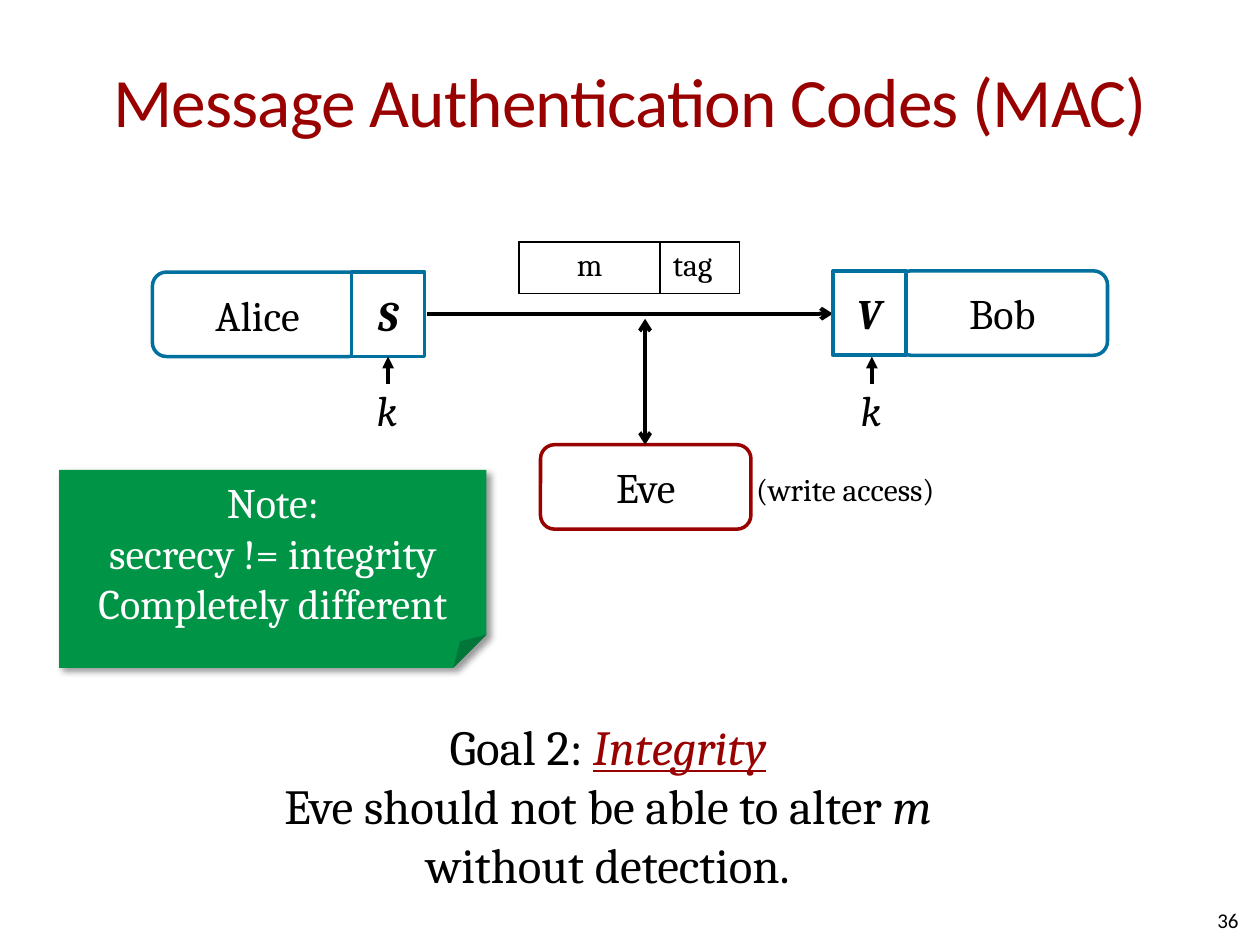
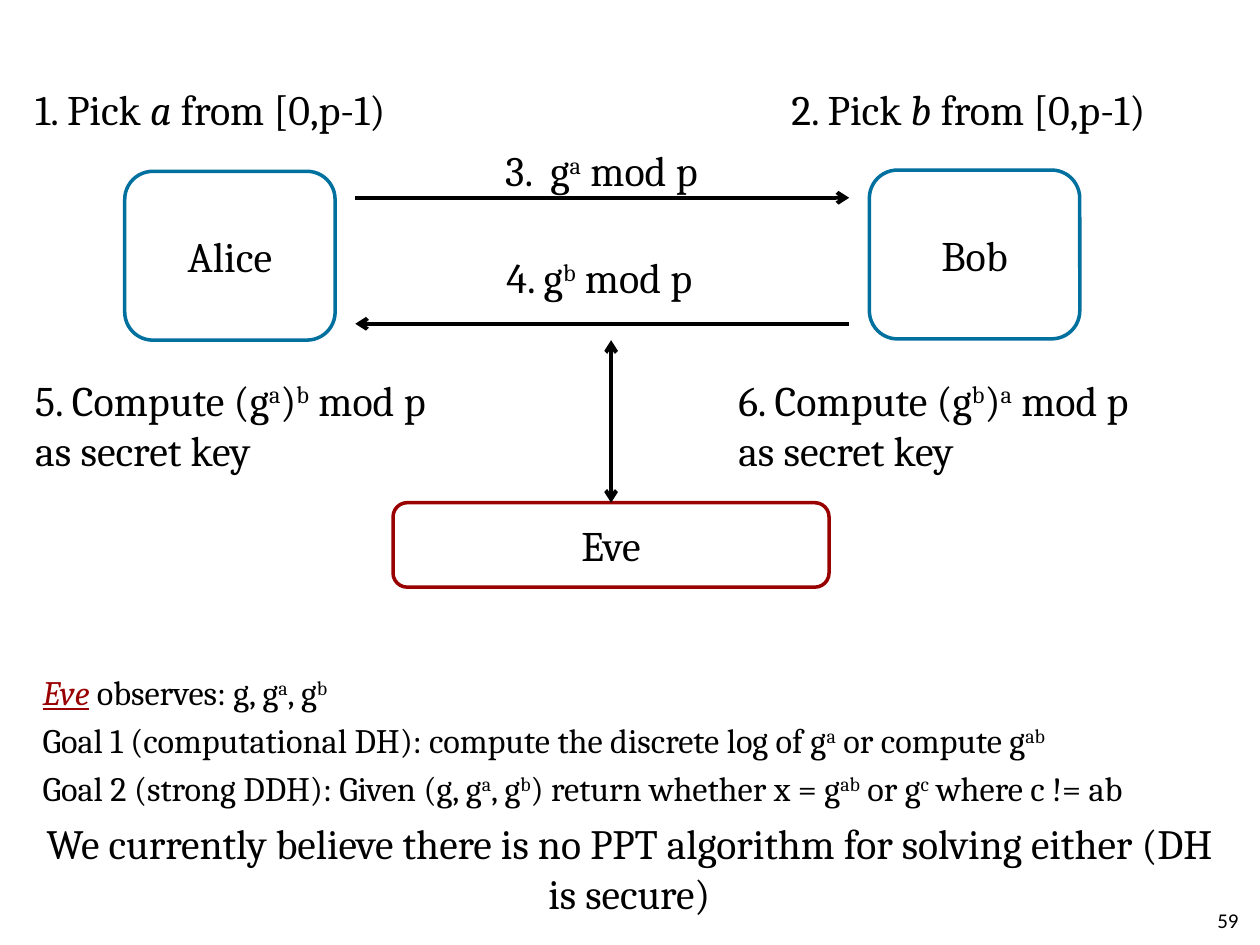
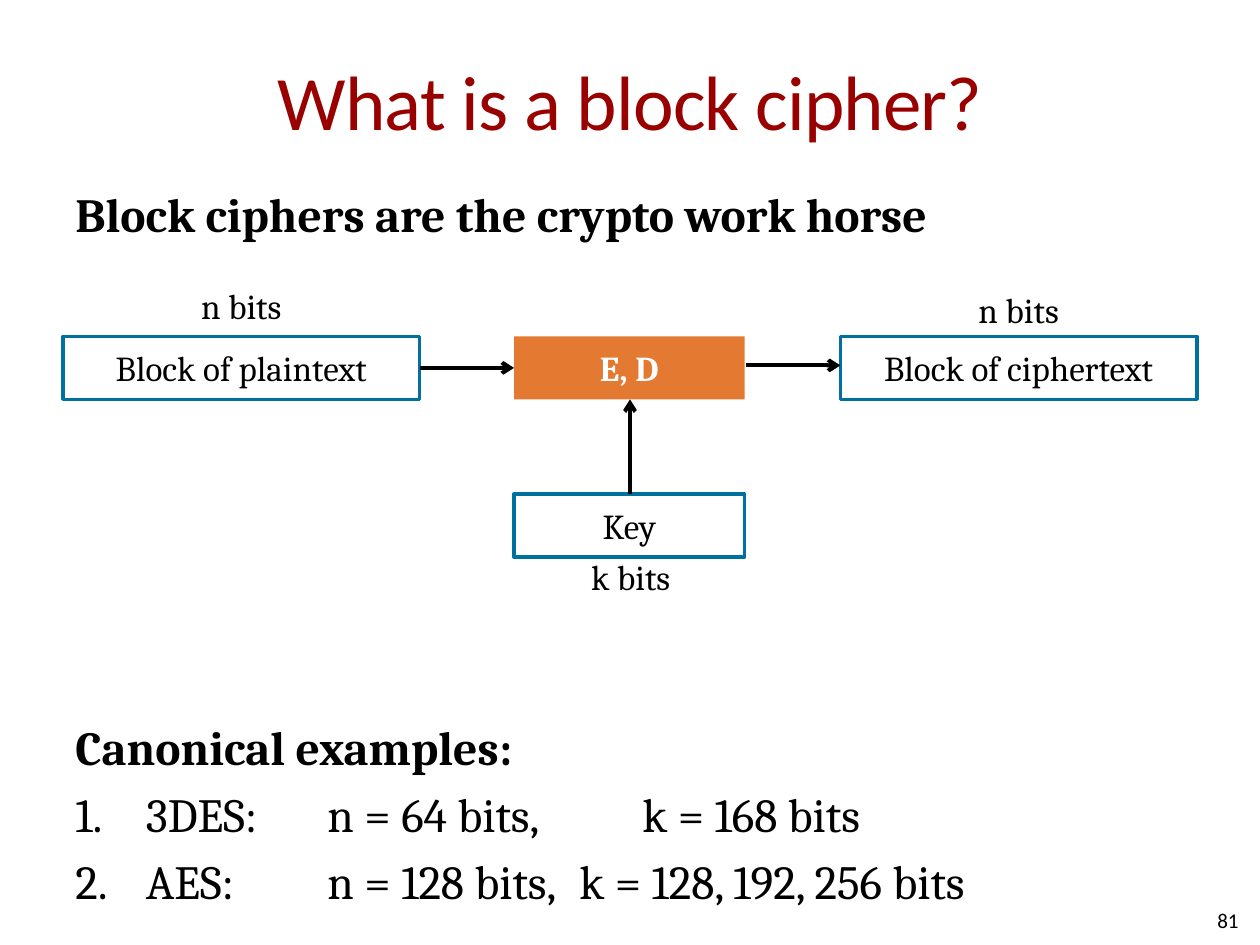
from lxml import etree
from pptx import Presentation
from pptx.dml.color import RGBColor
from pptx.enum.shapes import MSO_CONNECTOR, MSO_SHAPE
from pptx.enum.text import MSO_ANCHOR, PP_ALIGN
from pptx.oxml.ns import qn
from pptx.util import Inches, Pt

LEFT, MID, RIGHT = PP_ALIGN.LEFT, PP_ALIGN.CENTER, PP_ALIGN.RIGHT
TOP, CENTER = MSO_ANCHOR.TOP, MSO_ANCHOR.MIDDLE
RECT, ROUND, NOTE = MSO_SHAPE.RECTANGLE, MSO_SHAPE.ROUNDED_RECTANGLE, MSO_SHAPE.FOLDED_CORNER
STRAIGHT = MSO_CONNECTOR.STRAIGHT
BLACK, WHITE, RED, BLUE = "000000", "FFFFFF", "990000", "00709E"
GREEN, ORANGE = "009446", "E47932"
HEAD, BODY = "Calibri", "Cambria"
TITLE_ONLY, BLANK = 5, 6


def paint(code):
    return RGBColor.from_string(code)


def node(parent, tag, **attrs):
    return etree.SubElement(parent, qn(tag), attrs)


def place(at):
    return [Inches(n) for n in at]


def mix(words, mark):
    return [(part, mark if n % 2 else "") for n, part in enumerate(words.split("|"))]


def write(frame, paras, size=24, color=BLACK, font=BODY, align=LEFT, anchor=TOP,
          wrap=True, inset=(0, 0), bold=False, gap=0, track=0, count=False):
    frame.word_wrap = wrap
    frame.vertical_anchor = anchor
    frame.margin_left = frame.margin_right = Inches(inset[0])
    frame.margin_top = frame.margin_bottom = Inches(inset[1])
    for n, runs in enumerate([paras] if isinstance(paras, str) else paras):
        para = frame.paragraphs[0] if n == 0 else frame.add_paragraph()
        if count:
            props = para._p.get_or_add_pPr()
            for key, value in (("marL", 0.56), ("indent", -0.56), ("defTabSz", 0.5)):
                props.set(key, str(Inches(value)))
            node(props, "a:buFont", typeface=font)
            node(props, "a:buAutoNum", type="arabicPeriod")
        para.alignment = align
        if gap and n:
            para.space_before = Pt(gap)
        for words, mark in [(runs, "")] if isinstance(runs, str) else runs:
            run = para.add_run()
            run.text = words
            run.font.name = font
            run.font.size = Pt(size)
            run.font.bold = bold or "b" in mark
            run.font.italic = "i" in mark
            run.font.underline = "u" in mark
            run.font.color.rgb = paint(RED if "r" in mark else color)
            if "^" in mark:
                run._r.get_or_add_rPr().set("baseline", "30000")
            if track:
                run._r.get_or_add_rPr().set("spc", str(track))


def label(slide, paras, at, **style):
    write(slide.shapes.add_textbox(*place(at)).text_frame, paras, **style)


def box(slide, paras, at, kind=ROUND, fill=WHITE, edge=BLUE, **style):
    shape = slide.shapes.add_shape(kind, *place(at))
    shape.shadow.inherit = False
    shape.fill.solid()
    shape.fill.fore_color.rgb = paint(fill)
    if edge:
        shape.line.color.rgb = paint(edge)
        shape.line.width = Pt(2)
    else:
        shape.line.fill.background()
    write(shape.text_frame, paras, align=MID, anchor=CENTER, **style)
    return shape


def shade(shape):
    effects = shape.element.spPr.find(qn("a:effectLst"))
    cast = node(effects, "a:outerShdw", blurRad=str(Pt(4)), dist=str(Pt(3)),
                dir="2700000", algn="tl", rotWithShape="0")
    node(node(cast, "a:srgbClr", val=BLACK), "a:alpha", val="40000")


def arrow(slide, start, end, tip="arrow", both=False):
    line = slide.shapes.add_connector(STRAIGHT, *place(start + end))
    line.line.color.rgb = paint(BLACK)
    line.line.width = Pt(2.25)
    edge = line.get_or_add_ln()
    if both:
        node(edge, "a:headEnd", type=tip)
    node(edge, "a:tailEnd", type=tip)
    node(line.element.spPr, "a:effectLst")


def grid(slide, cells, at, widths):
    table = slide.shapes.add_table(1, len(cells), *place(at)).table
    table.first_row = table.horz_banding = False
    for n, (words, align) in enumerate(cells):
        table.columns[n].width = Inches(widths[n])
        cell = table.cell(0, n)
        write(cell.text_frame, words, size=18, align=align, inset=(0.1, 0.05))
        props = cell._tc.get_or_add_tcPr()
        for side in ("a:lnL", "a:lnR", "a:lnT", "a:lnB"):
            edge = node(props, side, w=str(Pt(1)))
            node(node(edge, "a:solidFill"), "a:srgbClr", val=BLACK)
        cell.fill.background()


def start(deck, number, title=None, size=44):
    slide = deck.slides.add_slide(deck.slide_layouts[TITLE_ONLY if title else BLANK])
    if title:
        head = slide.shapes.title
        head.left, head.top, head.width, head.height = place((0.5, 0.17, 9, 1.25))
        write(head.text_frame, title, size=size, color=RED, font=HEAD, align=MID,
              anchor=CENTER, inset=(0, 0.05), track=-50)
    label(slide, number, (7.5, 7.1, 2.33, 0.4), size=12, font=HEAD, align=RIGHT, anchor=CENTER)
    return slide


def codes(deck):
    slide = start(deck, "36", "Message Authentication Codes (MAC)", 39.6)
    box(slide, "Alice", (1.21, 2.16, 1.67, 0.67))
    box(slide, "Bob", (7.12, 2.15, 1.67, 0.67))
    arrow(slide, (3.39, 2.49), (6.61, 2.49))
    for name, left, top, mid in (("S", 2.79, 2.16, 3.08), ("V", 6.61, 2.15, 6.92)):
        box(slide, [[(name, "bi")]], (left, top, 0.58, 0.67), kind=RECT)
        label(slide, [[("k", "i")]], (mid - 0.09, 3.05, 0.17, 0.4), wrap=False)
        arrow(slide, (mid, 3.05), (mid, 2.83), tip="triangle")
    grid(slide, (("m", MID), ("tag", LEFT)), (4.12, 1.92, 1.75, 0.41), (1.12, 0.63))
    box(slide, "Eve", (4.29, 3.53, 1.67, 0.67), edge=RED)
    arrow(slide, (5.12, 3.53), (5.12, 2.53), both=True)
    label(slide, [mix("Goal 2: |Integrity", "iur"),
                  mix("Eve should not be able to alter |m", "i"),
                  "without detection."], (0.5, 5.69, 8.65, 1.41), size=28, align=MID)
    note = box(slide, ["Note:", "secrecy != integrity", "Completely different"],
               (0.47, 3.73, 3.39, 1.57), kind=NOTE, fill=GREEN, edge=None, color=WHITE)
    shade(note)
    label(slide, "(write access)", (6, 3.73, 1.51, 0.3), size=18, wrap=False)


def keys(deck):
    slide = start(deck, "59")
    label(slide, [[("Eve", "iur")] + mix(" observes: g, g|a|, g|b", "^"),
                  mix("Goal 1 (computational DH): compute the discrete log of g|a| or compute g|ab", "^"),
                  mix("Goal 2 (strong DDH): Given (g, g|a|, g|b|) return whether x = g|ab| or g|c| where c != ab", "^")],
          (0.24, 5.28, 9.51, 1.16), size=19.6, gap=3.9, inset=(0.1, 0.05))
    label(slide, "We currently believe there is no PPT algorithm for solving either (DH is secure)",
          (0.24, 6.44, 9.51, 0.9), size=23.8, align=MID, inset=(0.1, 0.05))
    arrow(slide, (2.82, 1.57), (6.74, 1.57))
    arrow(slide, (6.74, 2.57), (2.82, 2.57))
    steps = (
        ([mix("3.  g|a| mod p", "^")], (4.01, 1.15, 1.66, 0.4)),
        ([mix("4. g|b| mod p", "^")], (4.02, 2, 1.6, 0.4)),
        ([mix("1. Pick |a| from [0,p-1)", "i")], (0.28, 0.66, 3.03, 0.4)),
        ([mix("2. Pick |b| from [0,p-1)", "i")], (6.28, 0.66, 3.02, 0.4)),
        ([mix("5. Compute (g|a|)|b| mod p", "^"), "as secret key"], (0.28, 2.97, 3.34, 0.81)),
        ([mix("6. Compute (g|b|)|a| mod p", "^"), "as secret key"], (5.86, 2.97, 3.34, 0.81)),
    )
    for paras, at in steps:
        label(slide, paras, at, wrap=False)
    box(slide, "Alice", (0.99, 1.36, 1.67, 1.34))
    box(slide, "Bob", (6.9, 1.35, 1.67, 1.34))
    box(slide, "Eve", (3.12, 3.99, 3.46, 0.67), edge=RED)
    arrow(slide, (4.85, 2.7), (4.85, 3.99), both=True)


def cipher(deck):
    slide = start(deck, "81", "What is a block cipher?")
    body = {"size": 27.2, "inset": (0.1, 0.05)}
    label(slide, "Block ciphers are the crypto work horse", (0.5, 1.42, 9, 0.55), bold=True, **body)
    label(slide, "Canonical examples:", (0.5, 5.65, 9, 0.55), bold=True, **body)
    label(slide, ["3DES: \tn = 64 bits, \t\tk = 168 bits",
                  "AES: \t\tn = 128 bits, \tk = 128, 192, 256 bits"],
          (0.5, 6.18, 9, 1.09), gap=5.4, count=True, **body)
    for name, at in (("Block of plaintext", (0.5, 2.67, 2.83, 0.5)),
                     ("Key", (4.08, 3.92, 1.83, 0.5)),
                     ("Block of ciphertext", (6.67, 2.67, 2.83, 0.5))):
        box(slide, name, at, kind=RECT, size=20)
    box(slide, "E, D", (4.08, 2.67, 1.83, 0.5), kind=RECT, fill=ORANGE, edge=None,
        size=20, color=WHITE, bold=True)
    for name, left, top in (("n bits", 1.58, 2.26), ("k bits", 4.67, 4.41), ("n bits", 7.75, 2.29)):
        label(slide, name, (left, top, 0.67, 0.34), size=20, align=MID, wrap=False)
    arrow(slide, (3.33, 2.92), (4.08, 2.92))
    arrow(slide, (5, 3.92), (5, 3.17))
    arrow(slide, (5.92, 2.9), (6.67, 2.9))


def main():
    deck = Presentation()
    deck.slide_width, deck.slide_height = Inches(10), Inches(7.5)
    codes(deck)
    keys(deck)
    cipher(deck)
    deck.save("out.pptx")


if __name__ == "__main__":
    main()
